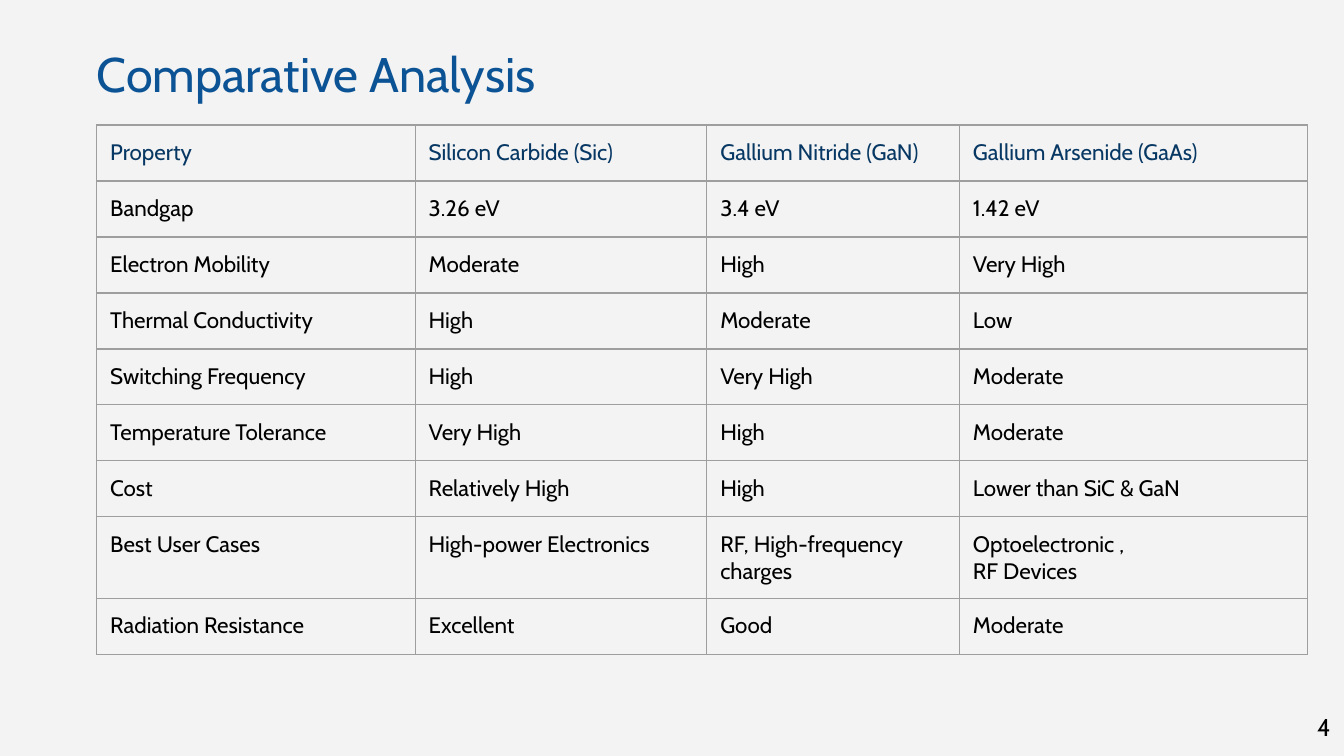
"""Build the semiconductor comparison slide."""
from lxml import etree
from pptx import Presentation
from pptx.dml.color import RGBColor
from pptx.enum import text as t
from pptx.oxml import ns
from pptx.util import Inches, Pt

TITLE = "Comparative Analysis"
PAGE_NUMBER = "4"
ROWS = [
    ("Property", "Silicon Carbide (Sic)", "Gallium Nitride (GaN)", "Gallium Arsenide (GaAs)"),
    ("Bandgap", "3.26 eV", "3.4 eV", "1.42 eV"),
    ("Electron Mobility", "Moderate", "High", "Very High"),
    ("Thermal Conductivity", "High", "Moderate", "Low"),
    ("Switching Frequency", "High", "Very High", "Moderate"),
    ("Temperature Tolerance", "Very High", "High", "Moderate"),
    ("Cost", "Relatively High", "High", "Lower than SiC & GaN"),
    ("Best User Cases", "High-power Electronics", "RF, High-frequency charges",
     "Optoelectronic ,\nRF Devices"),
    ("Radiation Resistance", "Excellent", "Good", "Moderate"),
]
COLUMN_WIDTHS = (2.37, 2.17, 1.88, 2.59)
ROW_HEIGHT = Inches(5) // 12
SLIDE_WIDTH = Inches(10)
SLIDE_HEIGHT = SLIDE_WIDTH * 9 // 16
MARGIN = Inches(0.1)

FONT = "Cabin"
BACKGROUND = RGBColor(0xF3, 0xF3, 0xF3)
TITLE_BLUE = RGBColor(0x0B, 0x53, 0x94)
HEADER_BLUE = RGBColor(0x07, 0x37, 0x63)
BLACK = RGBColor(0, 0, 0)
BORDER = RGBColor(0x9E, 0x9E, 0x9E)


def write(frame, text, size, color, align=t.PP_ALIGN.LEFT):
    frame.text = text
    frame.word_wrap = True
    for paragraph in frame.paragraphs:
        paragraph.alignment = align
        paragraph.font.name = FONT
        paragraph.font.size = Pt(size)
        paragraph.font.color.rgb = color


def set_margins(target):
    target.margin_left = target.margin_right = MARGIN
    target.margin_top = target.margin_bottom = MARGIN


def add_borders(cell):
    properties = cell._tc.get_or_add_tcPr()
    for position, side in enumerate(("lnL", "lnR", "lnT", "lnB")):
        line = etree.Element(ns.qn(f"a:{side}"), w=str(Pt(0.75)))
        fill = etree.SubElement(line, ns.qn("a:solidFill"))
        etree.SubElement(fill, ns.qn("a:srgbClr"), val=str(BORDER))
        properties.insert(position, line)


def add_comparison_table(slide):
    frame = slide.shapes.add_table(
        len(ROWS), len(COLUMN_WIDTHS), Inches(0.72), Inches(0.93),
        Inches(sum(COLUMN_WIDTHS)), ROW_HEIGHT * len(ROWS))
    table = frame.table
    table.first_row = table.horz_banding = False
    for column, width in zip(table.columns, COLUMN_WIDTHS):
        column.width = Inches(width)
    for row_index, values in enumerate(ROWS):
        table.rows[row_index].height = ROW_HEIGHT
        for column_index, value in enumerate(values):
            cell = table.cell(row_index, column_index)
            write(cell.text_frame, value, 12, BLACK if row_index else HEADER_BLUE)
            set_margins(cell)
            cell.fill.background()
            add_borders(cell)


def main():
    presentation = Presentation()
    presentation.slide_width, presentation.slide_height = SLIDE_WIDTH, SLIDE_HEIGHT
    slide = presentation.slides.add_slide(presentation.slide_layouts[5])
    slide.background.fill.solid()
    slide.background.fill.fore_color.rgb = BACKGROUND

    title = slide.shapes.title
    title.left, title.top = Inches(0.62), Inches(0.23)
    title.width, title.height = Inches(6.12), Inches(0.52)
    write(title.text_frame, TITLE, 26, TITLE_BLUE)
    title.text_frame.auto_size = t.MSO_AUTO_SIZE.NONE
    title.text_frame.vertical_anchor = t.MSO_ANCHOR.TOP
    set_margins(title.text_frame)

    add_comparison_table(slide)

    number = slide.shapes.add_textbox(Inches(9.4), Inches(5.19), Inches(0.6), Inches(0.43))
    write(number.text_frame, PAGE_NUMBER, 13, BLACK, t.PP_ALIGN.RIGHT)
    number.text_frame.vertical_anchor = t.MSO_ANCHOR.MIDDLE
    set_margins(number.text_frame)

    presentation.save("out.pptx")


if __name__ == "__main__":
    main()
